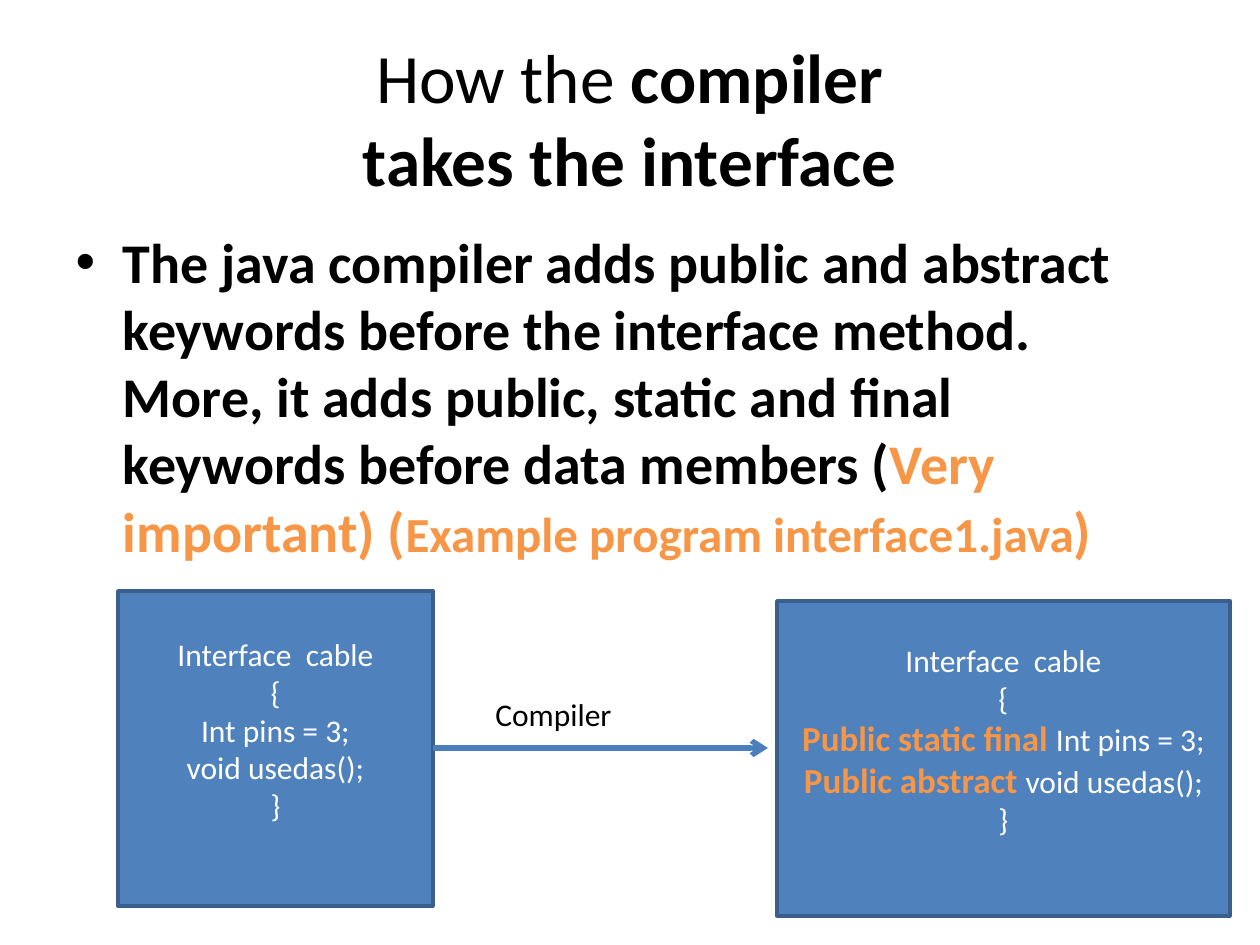
import pptx
import pptx.util
import pptx.dml.color
import pptx.enum.shapes
import pptx.enum.text
import pptx.oxml.ns
import lxml.etree

SCALE = 914400 / 126  # EMU per px
BLACK, WHITE, ORANGE, BLUE, EDGE = "000000", "FFFFFF", "F79646", "4F81BD", "3A5F8C"
ALIGN = pptx.enum.text.PP_ALIGN
ANCHOR = pptx.enum.text.MSO_ANCHOR


def px(*lengths):
    return [pptx.util.Emu(round(length * SCALE)) for length in lengths]


def write(frame, lines, align=None):
    """Each line is a list of spans: text, size, colour, bold."""
    frame.text = "\n" * (len(lines) - 1)
    for para, spans in zip(frame.paragraphs, lines):
        para.alignment = align
        for text, size, colour, bold in spans:
            span = para.add_run()
            span.text = text
            span.font.name = "Calibri"
            span.font.size = pptx.util.Pt(size)
            span.font.bold = bold
            span.font.color.rgb = pptx.dml.color.RGBColor.from_string(colour)


deck = pptx.Presentation()
deck.slide_width, deck.slide_height = px(1260, 945)
page = deck.slides.add_slide(deck.slide_layouts[1])

# Title and bullet
title, body = page.placeholders
title.left, title.top, title.width, title.height = px(63, 38, 1134, 158)
title.text_frame.vertical_anchor = ANCHOR.MIDDLE
write(title.text_frame, [
    [("How the ", 39.6, BLACK, False), ("compiler", 39.6, BLACK, True)],
    [("takes the interface", 39.6, BLACK, True)],
], ALIGN.CENTER)

body.left, body.top, body.width, body.height = px(63, 221, 1134, 624)
write(body.text_frame, [[
    ("The java compiler adds public and abstract keywords before the interface method. "
     "More, it adds public, static and final keywords before data members (", 32, BLACK, True),
    ("Very important) (", 32, ORANGE, True),
    ("Example program interface1.java", 28, ORANGE, True),
    (")", 32, ORANGE, True),
]])

# Code boxes before and after compiling
boxes = [
    ((118, 591, 315, 315), "", ""),
    ((777, 601, 453, 315), "Public static final ", "Public abstract "),
]
for place, field_words, method_words in boxes:
    box = page.shapes.add_shape(pptx.enum.shapes.MSO_SHAPE.RECTANGLE, *px(*place))
    box.shadow.inherit = False
    box.fill.solid()
    box.fill.fore_color.rgb = pptx.dml.color.RGBColor.from_string(BLUE)
    box.line.color.rgb = pptx.dml.color.RGBColor.from_string(EDGE)
    box.line.width = pptx.util.Pt(2)
    frame = box.text_frame
    frame.word_wrap = True
    frame.vertical_anchor = ANCHOR.MIDDLE
    frame.margin_bottom = px(44)[0]  # lifts the code by half a line
    lines = []
    for added, code in [("", "Interface  cable"), ("", "{"), (field_words, "Int pins = 3;"),
                        (method_words, "void usedas();"), ("", "}")]:
        keywords = [(added, 20, ORANGE, True)] if added else []
        lines.append(keywords + [(code, 18, WHITE, False)])
    write(frame, lines, ALIGN.CENTER)

# Arrow between the boxes
arrow = page.shapes.add_connector(
    pptx.enum.shapes.MSO_CONNECTOR.STRAIGHT, *px(433, 748, 768, 748))
arrow.line.color.rgb = pptx.dml.color.RGBColor.from_string("4B7EBC")
arrow.line.width = pptx.util.Pt(3)
qn = pptx.oxml.ns.qn
lxml.etree.SubElement(arrow.line._get_or_add_ln(), qn("a:tailEnd"), type="arrow")
lxml.etree.SubElement(arrow._element.spPr, qn("a:effectLst"))

# Arrow label
label = page.shapes.add_textbox(*px(483, 689, 227, 50))
label.text_frame.word_wrap = True
write(label.text_frame, [[("Compiler", 18, BLACK, False)]])

deck.save("out.pptx")
